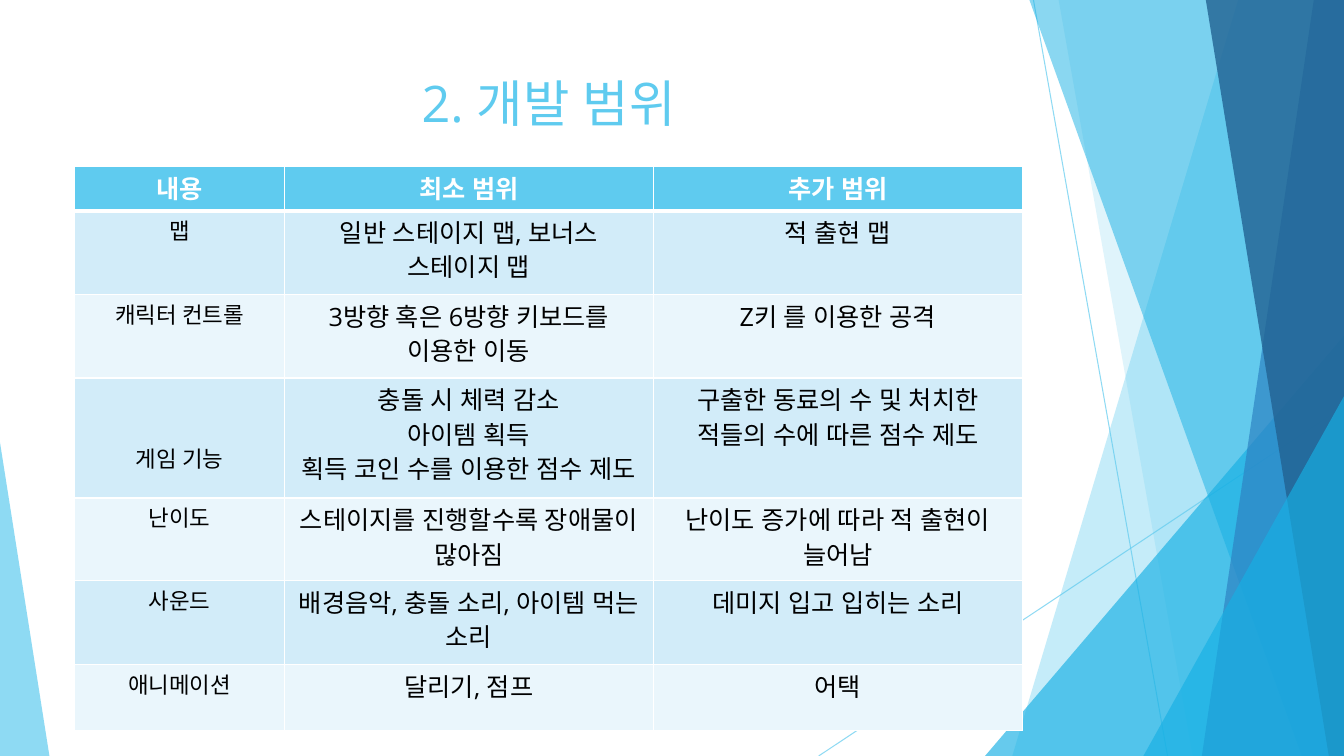
import pptx
import pptx.util
import pptx.dml.color
import pptx.enum.shapes
import pptx.enum.text
import pptx.oxml
import pptx.oxml.ns
import lxml.etree

Inches = pptx.util.Inches
Pt = pptx.util.Pt
qn = pptx.oxml.ns.qn
FONT = "Open Sans"
SKY, CYAN, BLUE, NAVY = "5FCBEF", "17B0E4", "2E83C3", "226292"
WHITE, BLACK = "FFFFFF", "000000"
BANDS = ["D2ECF9", "EAF6FC"]
COLUMN_WIDTHS = [2.08, 3.66, 3.66]
ROW_HEIGHTS = [0.44, 0.83, 0.83, 1.19, 0.82, 0.83, 0.66]
ROWS = [
    ["내용", "최소 범위", "추가 범위"],
    ["맵", "일반 스테이지 맵, 보너스 스테이지 맵", "적 출현 맵"],
    ["캐릭터 컨트롤", "3방향 혹은 6방향 키보드를 이용한 이동", "Z키 를 이용한 공격"],
    ["게임 기능", "충돌 시 체력 감소\n아이템 획득\n획득 코인 수를 이용한 점수 제도",
     "구출한 동료의 수 및 처치한 적들의 수에 따른 점수 제도"],
    ["난이도", "스테이지를 진행할수록 장애물이 많아짐", "난이도 증가에 따라 적 출현이 늘어남"],
    ["사운드", "배경음악, 충돌 소리, 아이템 먹는 소리", "데미지 입고 입히는 소리"],
    ["애니메이션", "달리기, 점프", "어택"],
]


def set_color(color_format, color, alpha=100):
    """Apply a hex colour and an opacity in percent."""
    color_format.rgb = pptx.dml.color.RGBColor.from_string(color)
    if alpha < 100:
        element = color_format._xFill.find(qn("a:srgbClr"))
        lxml.etree.SubElement(element, qn("a:alpha"), val=str(alpha * 1000))


def fill_shape(shape, color, alpha):
    """Give a shape a translucent fill without line or shadow."""
    shape.shadow.inherit = False
    shape.fill.solid()
    set_color(shape.fill.fore_color, color, alpha)
    shape.line.fill.background()


def add_text(text_frame, text, size, color, bold=False):
    """Write centred paragraphs, one per line of text."""
    for index, line in enumerate(text.split("\n")):
        paragraph = text_frame.paragraphs[0] if index == 0 else text_frame.add_paragraph()
        paragraph.alignment = pptx.enum.text.PP_ALIGN.CENTER
        run = paragraph.add_run()
        run.text = line
        run.font.size = Pt(size)
        run.font.bold = bold
        run.font.name = FONT
        set_color(run.font.color, color)
        lxml.etree.SubElement(run.font._element, qn("a:ea"), typeface=FONT)


def add_line(slide, start, end):
    """Draw a thin sky-blue line between two points."""
    line = slide.shapes.add_connector(
        pptx.enum.shapes.MSO_CONNECTOR.STRAIGHT, *map(Inches, start + end))
    line.line.width = Pt(0.75)
    line.line.fill.solid()
    set_color(line.line.fill.fore_color, SKY, 70)
    lxml.etree.SubElement(line._element.spPr, qn("a:effectLst"))


def add_triangle(slide, box, peak, color, alpha):
    """Draw a triangle whose peak lies at a fraction of its width."""
    triangle = slide.shapes.add_shape(
        pptx.enum.shapes.MSO_SHAPE.ISOSCELES_TRIANGLE, *map(Inches, box))
    triangle.adjustments[0] = peak
    fill_shape(triangle, color, alpha)


def add_facet(slide, box, top_width, bottom_width, color, alpha):
    """Draw a full-height facet attached to the right edge of the box."""
    left, top, width, height = box
    right, bottom = left + width, top + height
    points = [(right - top_width, top), (right, top), (right, bottom), (right - bottom_width, bottom)]
    corners = [(Inches(x), Inches(y)) for x, y in points]
    builder = slide.shapes.build_freeform(*corners[0])
    builder.add_line_segments(corners[1:], close=True)
    fill_shape(builder.convert_to_shape(), color, alpha)


def add_right_facets(slide, box):
    """Layer lines, facets and corner triangles on the right side."""
    left, top, width, height = box
    right, bottom = left + width, top + height

    def add_corner(corner_width, corner_height):
        """Place a triangle in the bottom right corner."""
        corner = (right - corner_width, bottom - corner_height, corner_width, corner_height)
        add_triangle(slide, corner, 1, CYAN, 66)

    add_line(slide, (left + 2.13, top), (left + 3.46, bottom))
    add_line(slide, (right, top + 4.03), (left, bottom))
    add_facet(slide, box, 1.05, 3.29, SKY, 36)
    add_facet(slide, box, 2.83, 1.5, SKY, 20)
    add_corner(3.56, 4.17)
    add_facet(slide, box, 3.12, 0.42, CYAN, 50)
    add_facet(slide, box, 0.3, 1.41, BLUE, 70)
    add_facet(slide, box, 1.37, 0.15, NAVY, 80)
    add_corner(1.99, 3.57)


def add_title(slide, box, text):
    """Place and format the title placeholder."""
    title = slide.shapes.title
    title.left, title.top, title.width, title.height = map(Inches, box)
    title.text_frame.vertical_anchor = pptx.enum.text.MSO_ANCHOR.TOP
    add_text(title.text_frame, text, 36, SKY)


def set_borders(cell, widths):
    """Give a cell white borders with the width of each side in points."""
    properties = cell._tc.get_or_add_tcPr()
    for index, (side, width) in enumerate(widths.items()):
        border = lxml.etree.Element(qn("a:ln" + side), w=str(Pt(width)))
        fill = lxml.etree.SubElement(border, qn("a:solidFill"))
        lxml.etree.SubElement(fill, qn("a:srgbClr"), val=WHITE)
        properties.insert(index, border)


def add_scope_table(slide, box):
    """Build the banded table of minimum and additional scope."""
    table = slide.shapes.add_table(len(ROWS), len(COLUMN_WIDTHS), *map(Inches, box)).table
    for column, width in zip(table.columns, COLUMN_WIDTHS):
        column.width = Inches(width)
    for row_index, (row, height) in enumerate(zip(ROWS, ROW_HEIGHTS)):
        table.rows[row_index].height = Inches(height)
        header = row_index == 0
        for column_index, text in enumerate(row):
            cell = table.cell(row_index, column_index)
            cell.fill.solid()
            set_color(cell.fill.fore_color, SKY if header else BANDS[(row_index - 1) % 2])
            set_borders(cell, {"L": 1, "R": 1, "T": 3 if row_index == 1 else 1, "B": 3 if header else 1})
            size = 16 if column_index == 0 and not header else 18
            add_text(cell.text_frame, text, size, WHITE if header else BLACK, header)
            if text == "게임 기능":
                cell.margin_top = Inches(0.65)


def main():
    """Create the development scope slide and save it."""
    presentation = pptx.Presentation()
    presentation.slide_width = Inches(13.33)
    presentation.slide_height = Inches(7.5)
    slide = presentation.slides.add_slide(presentation.slide_layouts[5])
    add_right_facets(slide, (8.12, 0, 5.21, 7.5))
    add_triangle(slide, (0, 4.39, 0.49, 3.11), 0, SKY, 70)
    add_title(slide, (0.74, 0.67, 9.4, 1.44), "2. 개발 범위")
    add_scope_table(slide, (0.74, 1.65, sum(COLUMN_WIDTHS), sum(ROW_HEIGHTS)))
    presentation.save("out.pptx")


main()
